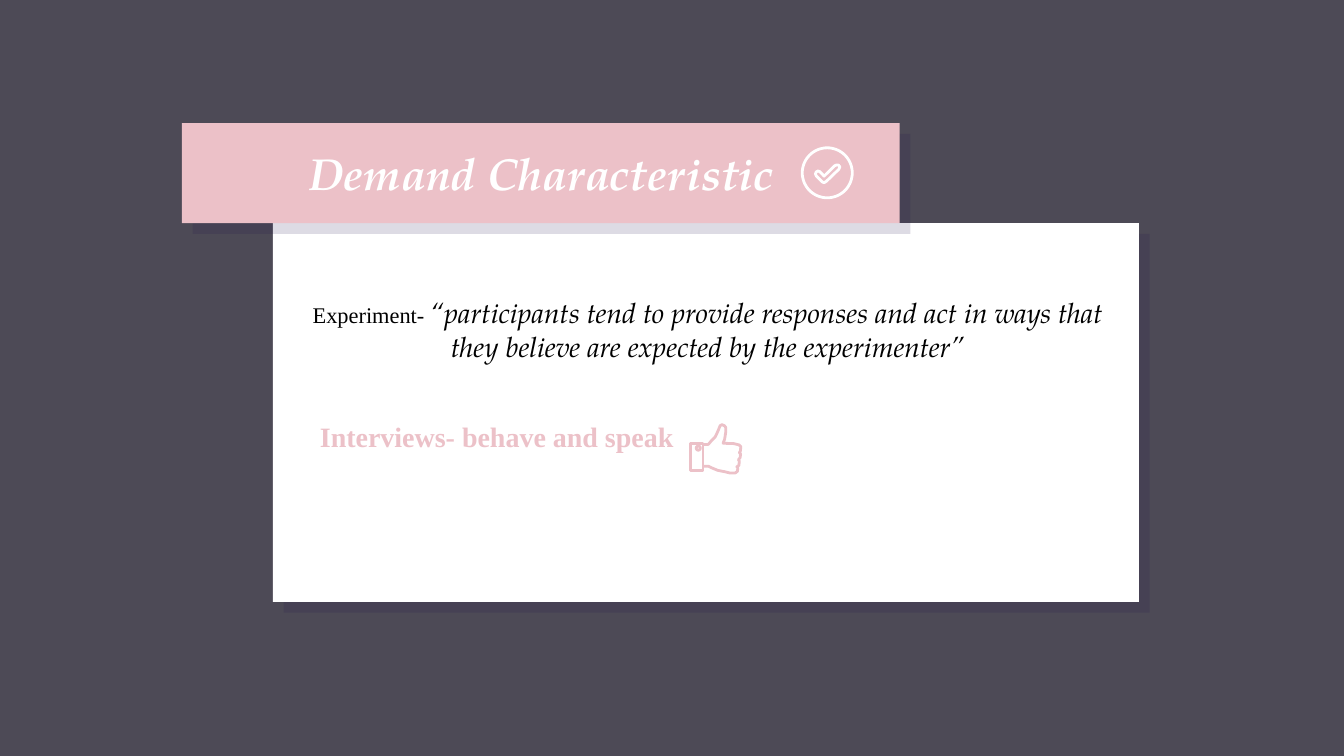
from dataclasses import dataclass
from math import cos, pi, sin

from lxml.etree import SubElement
from pptx import Presentation
from pptx.dml.color import RGBColor as RGB
from pptx.enum.shapes import MSO_SHAPE as SHAPE
from pptx.enum.text import MSO_ANCHOR as ANCHOR, MSO_AUTO_SIZE as AUTO, PP_ALIGN as ALIGN
from pptx.oxml.ns import qn
from pptx.util import Pt


@dataclass(frozen=True)
class Theme:
    back: str = "4D4A56"
    pink: str = "ECC1C8"
    white: str = "FFFFFF"
    black: str = "000000"
    shadow: str = "20124D"
    display: str = "TeX Gyre Pagella"
    serif: str = "Times New Roman"
    title_size: float = 24
    body_size: float = 15
    label_size: float = 12
    icon_line: float = 1.5
    inset: float = 7.2


T = Theme()

CHECK = [(11.7, 18.7), (12.9, 18), (19.6, 11.5), (20.2, 10.2), (19.4, 9.3),
         (18.4, 9.2), (17.4, 9.6), (11.7, 15.2), (9.5, 12.8), (8.4, 12.4),
         (7.4, 13), (7.1, 14), (7.5, 15), (10.6, 18.2)]
CUFF = [(0, 10.1), (0, 24.5), (6.5, 24.5), (6.5, 10.1)]
HAND = [(6.5, 22.3), (9.4, 22.3), (10.8, 23), (14.4, 24.5), (18, 25.2),
        (20.9, 25.9), (23.8, 25.9), (25, 25), (25.2, 23.2), (24.7, 22.6),
        (25.8, 21.8), (26, 19.6), (25.5, 18.8), (26.4, 17.8), (26.7, 15.8),
        (26, 15.1), (26.6, 14.1), (26.8, 11.8), (25.9, 10.9), (23, 10.2),
        (17.3, 10), (18.1, 7.9), (18.7, 4.2), (18.7, 1.5), (18, 0.6),
        (16.7, 0), (15.7, 0.6), (14.4, 3.8), (13.1, 6.6), (10.8, 8.9),
        (9.4, 10.6), (6.5, 10.6)]


def circle(cx, cy, radius, steps):
    angles = [2 * pi * i / steps for i in range(steps)]
    return [(cx + radius * cos(a), cy + radius * sin(a)) for a in angles]


def add_panel(s, box, color):
    """Add a borderless rectangle with a hard shadow to the lower right."""
    sp = s.shapes.add_shape(SHAPE.RECTANGLE, *map(Pt, box))
    sp.fill.solid()
    sp.fill.fore_color.rgb = RGB.from_string(color)
    sp.line.fill.background()
    sp.shadow.inherit = False
    effects = sp.element.spPr.find(qn("a:effectLst"))
    shadow = SubElement(effects, qn("a:outerShdw"), blurRad="0", dist=str(Pt(8.2)),
                        dir="2700000", algn="bl", rotWithShape="0")
    tint = SubElement(shadow, qn("a:srgbClr"), val=T.shadow)
    SubElement(tint, qn("a:alpha"), val="15000")


def add_outline(s, origin, contours, color, close=True):
    """Draw contours, given in points from origin, as one unfilled shape."""
    left, top = origin
    placed = [[(Pt(left + x), Pt(top + y)) for x, y in c] for c in contours]
    builder = s.shapes.build_freeform(*placed[0][0])
    for i, points in enumerate(placed):
        if i:
            builder.move_to(*points[0])
        builder.add_line_segments(points[1:], close=close)
    sp = builder.convert_to_shape()
    sp.shadow.inherit = False
    sp.fill.background()
    sp.line.color.rgb = RGB.from_string(color)
    sp.line.width = Pt(T.icon_line)


def set_text(sp, box, align, anchor=ANCHOR.TOP):
    """Place a text shape and return its first paragraph."""
    sp.left, sp.top, sp.width, sp.height = map(Pt, box)
    tf = sp.text_frame
    tf.word_wrap = True
    tf.auto_size = AUTO.NONE
    tf.vertical_anchor = anchor
    tf.margin_left = tf.margin_top = tf.margin_right = tf.margin_bottom = Pt(T.inset)
    p = tf.paragraphs[0]
    p.alignment = align
    return p


def add_run(p, text, font, size, color, bold=False, italic=False):
    r = p.add_run()
    r.text = text
    r.font.name = font
    r.font.size = Pt(size)
    r.font.bold = bold
    r.font.italic = italic
    r.font.color.rgb = RGB.from_string(color)


def bring_to_front(s, sp):
    s.shapes.element.append(sp.element)


def build_banner(s, box):
    left, top, width, height = box
    add_panel(s, box, T.pink)
    title = s.shapes.title
    bring_to_front(s, title)
    p = set_text(title, (left + 15.1, top + 2.9, width - 29.5, height - 5.8),
                 ALIGN.CENTER, ANCHOR.MIDDLE)
    add_run(p, "Demand Characteristic", T.display, T.title_size, T.white, True, True)
    add_outline(s, (left + 332.4, top + 13.3),
                [circle(13.4, 13.4, 13.4, 72), CHECK], T.white)


def build_thumb(s, origin):
    add_outline(s, origin, [CUFF, circle(4, 12.6, 1.1, 16)], T.pink)
    add_outline(s, origin, [HAND], T.pink, close=False)


def build_card_text(s, box):
    left, top, width, height = box
    quote = s.shapes.add_textbox(0, 0, 0, 0)
    p = set_text(quote, (left + 13, top + 31.7, width - 23.8, 59.8), ALIGN.CENTER)
    add_run(p, "Experiment- ", T.serif, T.label_size, T.black)
    add_run(p, "“participants tend to provide responses and act in ways that "
               "they believe are expected by the experimenter”",
            T.display, T.body_size, T.black, italic=True)

    interviews = s.placeholders[1]
    bring_to_front(s, interviews)
    p = set_text(interviews, (left + 18, top + 97.9, 251.3, 59), ALIGN.LEFT)
    p.space_before = Pt(6)
    add_run(p, "Interviews- behave and speak", T.serif, T.body_size, T.pink, True)
    build_thumb(s, (left + 223.9, top + 108))


def main():
    prs = Presentation()
    prs.slide_width, prs.slide_height = Pt(720), Pt(405)
    s = prs.slides.add_slide(prs.slide_layouts[0])
    s.background.fill.solid()
    s.background.fill.fore_color.rgb = RGB.from_string(T.back)
    card = (146.2, 119.5, 463.9, 203)
    add_panel(s, card, T.white)
    build_banner(s, (97.4, 65.9, 384.6, 53.6))
    build_card_text(s, card)
    prs.save("out.pptx")


if __name__ == "__main__":
    main()
